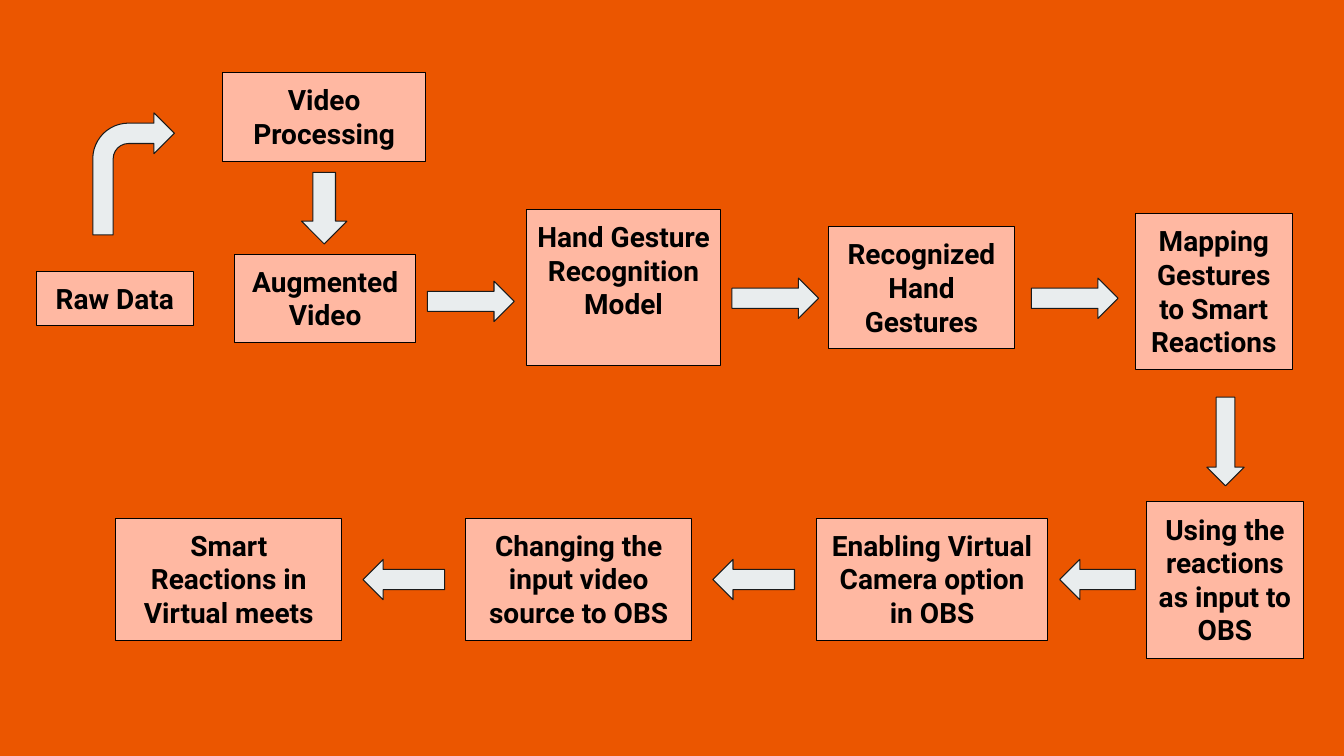
import pptx
import pptx.dml.color
import pptx.enum.shapes
import pptx.enum.text
import pptx.util

Inches = pptx.util.Inches
Pt = pptx.util.Pt
KIND = pptx.enum.shapes.MSO_SHAPE


def color(code):
    return pptx.dml.color.RGBColor.from_string(code)


class Flow:
    font = "Roboto"
    size = 20
    ink = "000000"
    back = "EB5600"
    peach = "FFB8A2"
    gray = "E9EDEE"
    edge = "1A1A1A"

    def __init__(self, slide):
        self.slide = slide
        slide.background.fill.solid()
        slide.background.fill.fore_color.rgb = color(self.back)

    def shape(self, kind, area, fill, line):
        item = self.slide.shapes.add_shape(kind, *map(Inches, area))
        item.shadow.inherit = False
        item.fill.solid()
        item.fill.fore_color.rgb = color(fill)
        item.line.color.rgb = color(line)
        item.line.width = Pt(0.75)
        return item

    def arrow(self, kind, *area):
        self.shape(kind, area, self.gray, self.edge)

    def box(self, text, *area):
        frame = self.shape(KIND.RECTANGLE, area, self.peach, self.ink).text_frame
        frame.word_wrap = True
        frame.vertical_anchor = pptx.enum.text.MSO_ANCHOR.TOP
        frame.margin_left = frame.margin_right = Inches(0.1)
        frame.margin_top = frame.margin_bottom = Inches(0.1)
        para = frame.paragraphs[0]
        para.alignment = pptx.enum.text.PP_ALIGN.CENTER
        run = para.add_run()
        run.text = text
        run.font.name = self.font
        run.font.size = Pt(self.size)
        run.font.bold = True
        run.font.color.rgb = color(self.ink)


def main():
    deck = pptx.Presentation()
    deck.slide_width = Inches(13.33)
    deck.slide_height = Inches(7.5)
    flow = Flow(deck.slides.add_slide(deck.slide_layouts[6]))

    # Box heights for one to four lines of text
    one, two, three, four = 0.54, 0.88, 1.21, 1.55
    low = 5.14
    steps = [
        ("Raw Data", 0.36, 2.69, 1.56, one),
        ("Video Processing", 2.21, 0.72, 2.01, two),
        ("Augmented Video", 2.33, 2.52, 1.79, two),
        ("Hand Gesture Recognition Model", 5.22, 2.08, 1.93, four),
        ("Recognized Hand Gestures", 8.22, 2.25, 1.84, three),
        ("Mapping Gestures to Smart Reactions", 11.26, 2.12, 1.56, four),
        ("Using the reactions as input to OBS", 11.37, 4.98, 1.56, four),
        ("Enabling Virtual Camera option in OBS", 8.1, low, 2.29, three),
        ("Changing the input video source to OBS", 4.62, low, 2.24, three),
        ("Smart Reactions in Virtual meets", 1.15, low, 2.24, three),
    ]
    for step in steps:
        flow.box(*step)

    flow.arrow(KIND.BENT_ARROW, 0.92, 1.12, 0.81, 1.21)
    flow.arrow(KIND.DOWN_ARROW, 2.99, 1.71, 0.45, 0.71)
    for left, top in [(4.24, 2.79), (7.26, 2.76), (10.23, 2.76)]:
        flow.arrow(KIND.RIGHT_ARROW, left, top, 0.86, 0.4)
    flow.arrow(KIND.DOWN_ARROW, 11.97, 3.94, 0.37, 0.88)
    for left, width in [(10.51, 0.75), (7.07, 0.81), (3.6, 0.81)]:
        flow.arrow(KIND.LEFT_ARROW, left, 5.55, width, 0.4)

    deck.save("out.pptx")


if __name__ == "__main__":
    main()
